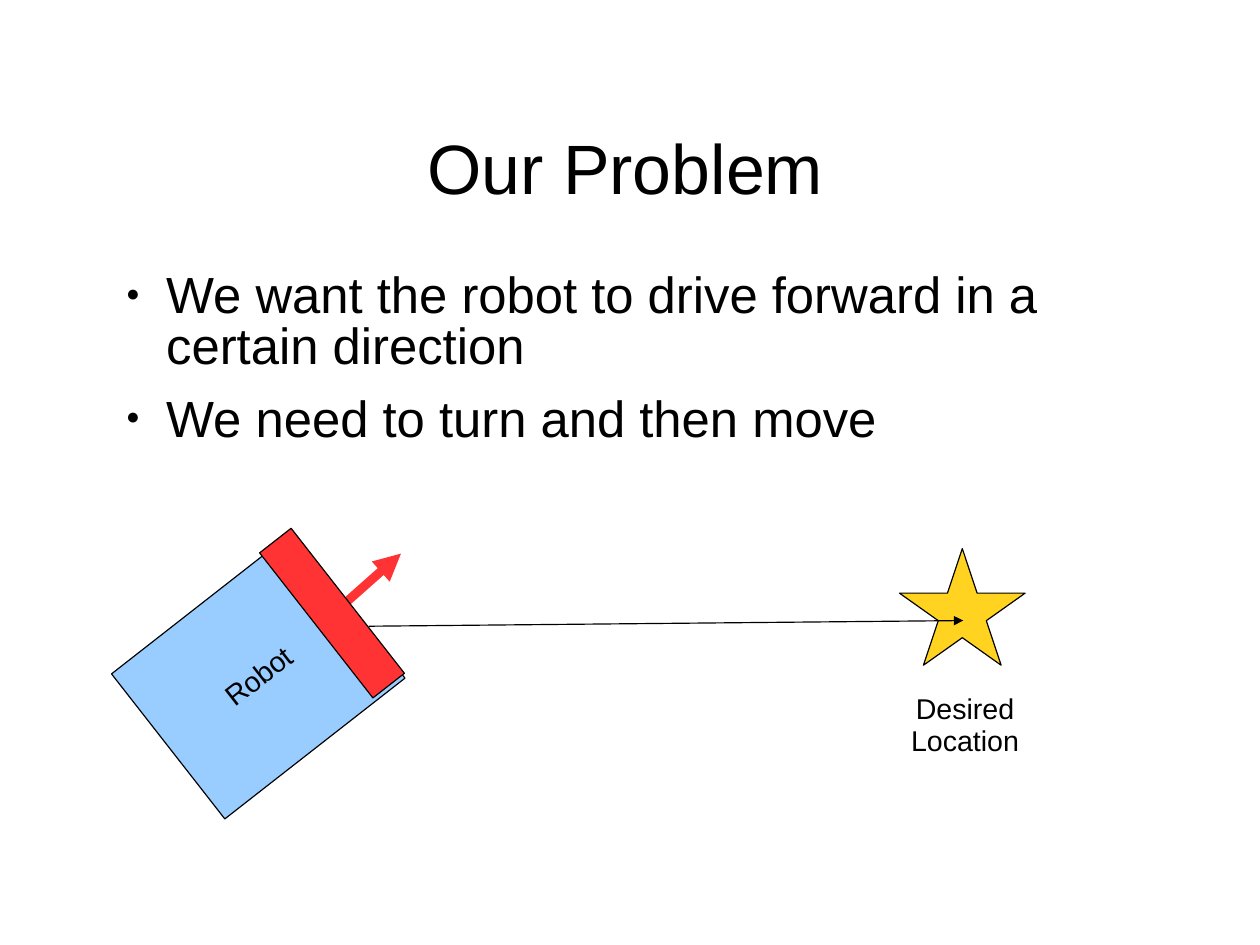
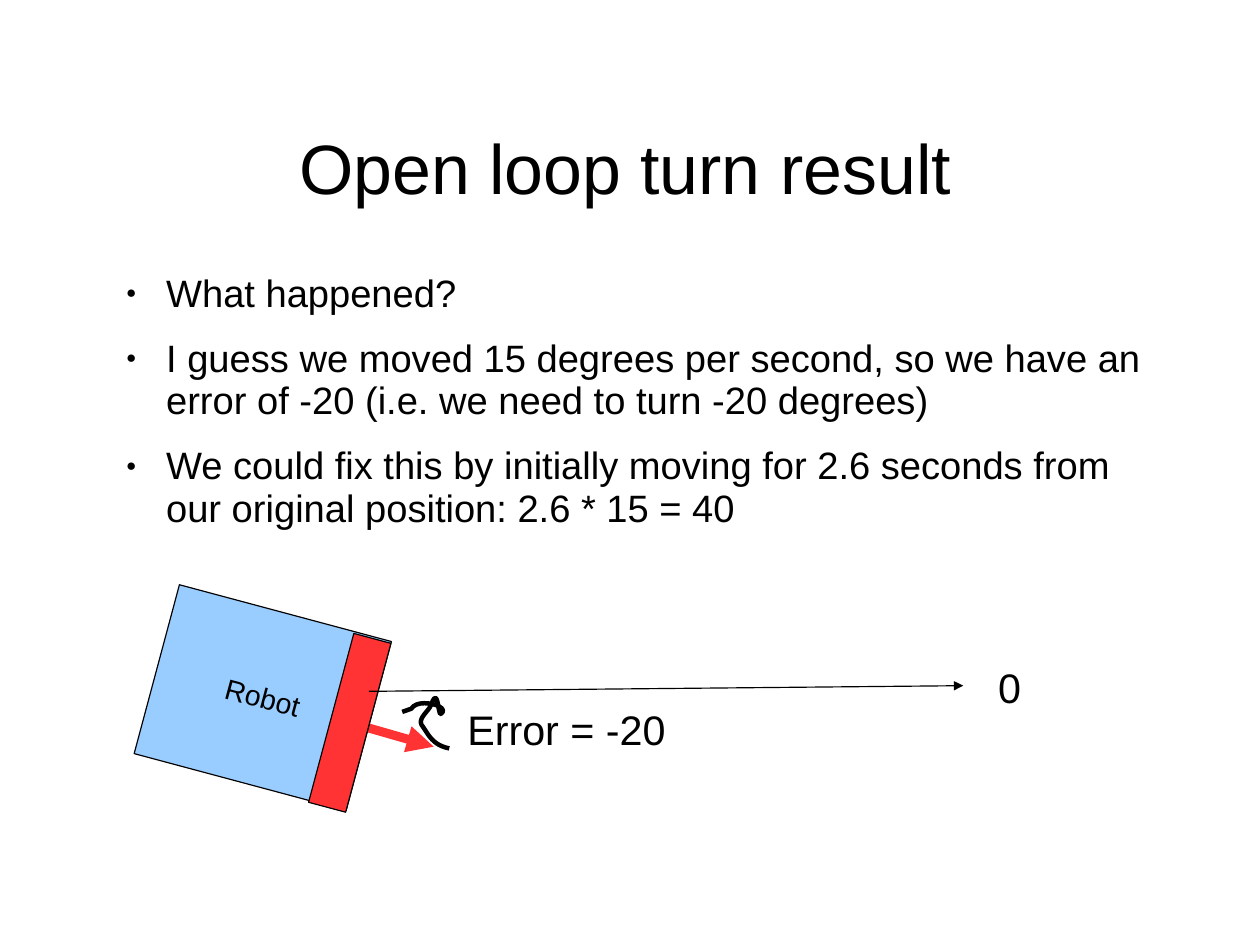
from math import cos, radians, sin

from lxml.etree import SubElement
from pptx import Presentation
from pptx.dml.color import RGBColor
from pptx.enum.shapes import MSO_CONNECTOR as Connector, MSO_SHAPE as Shape
from pptx.enum.text import MSO_ANCHOR as Anchor, MSO_AUTO_SIZE as AutoSize, PP_ALIGN as Align
from pptx.oxml.ns import qn
from pptx.util import Cm, Emu, Inches, Pt

# The slide is a grid of 100 columns by 75 rows of square cells.
SLIDE_WIDTH, SLIDE_HEIGHT = Cm(28), Cm(21)
CELL = SLIDE_WIDTH / 100

COLORS = {"ink": "000000", "body": "99CCFF", "front": "FF3333", "star": "FFD320"}
FONT = "Arial"
LINE_SPACING = 0.93
THIN, BRUSH, THICK = 0.75, 2.83, 5.67

TITLE_BOX = (8.24, 7.12, 82.82, 12.52)
BODY_LEFT, BODY_TOP, BODY_WIDTH = 8.92, 21.42, 82.2
TARGET_LINE = (29.28, 76.45)

# Points of the turn mark as shares of its box: a start, then Bézier triples.
TURN_START = (0.98, 1)
TURN_CURVES = [
    ((0.64, 0.95), (0.55, 0.79), (0.43, 0.66)),
    ((0.29, 0.54), (0.55, 0.43), (0.6, 0.32)),
    ((0.76, 0), (0.74, 0.5), (0.81, 0.46)),
    ((1.02, 0.34), (0.33, 0.2), (0.19, 0.38)),
]
TURN_END = (0, 0.43)


def cells(*lengths):
    return [Emu(round(length * CELL)) for length in lengths]


def color(name):
    return RGBColor.from_string(COLORS[name])


def style_line(line, name, width):
    line.color.rgb = color(name)
    line.width = Pt(width)


def style_text(paragraph, size, align=Align.LEFT, spacing=LINE_SPACING):
    paragraph.alignment = align
    paragraph.line_spacing = spacing
    paragraph.font.name = FONT
    paragraph.font.size = Pt(size)
    paragraph.font.color.rgb = color("ink")


def set_frame(frame, margins, wrap=True, anchor=Anchor.TOP):
    frame.auto_size = AutoSize.NONE
    frame.word_wrap = wrap
    frame.vertical_anchor = anchor
    (frame.margin_left, frame.margin_top,
     frame.margin_right, frame.margin_bottom) = map(Inches, margins)


def place(shape, box):
    shape.left, shape.top, shape.width, shape.height = cells(*box)


def add_bullet(paragraph):
    properties = paragraph._p.get_or_add_pPr()
    properties.set("marL", str(Inches(0.47)))
    properties.set("indent", str(Inches(-0.35)))
    bullet_color = SubElement(properties, qn("a:buClr"))
    SubElement(bullet_color, qn("a:srgbClr"), val=COLORS["ink"])
    SubElement(properties, qn("a:buSzPct"), val="45000")
    SubElement(properties, qn("a:buFont"), typeface=FONT)
    SubElement(properties, qn("a:buChar"), char="●")


def add_content_slide(presentation, title, bullets, size, body_height, spacing=LINE_SPACING):
    slide = presentation.slides.add_slide(presentation.slide_layouts[1])
    heading, body = slide.placeholders
    place(heading, TITLE_BOX)
    set_frame(heading.text_frame, (0, 0.04, 0, 0), anchor=Anchor.MIDDLE)
    heading.text_frame.text = title
    style_text(heading.text_frame.paragraphs[0], 44, Align.CENTER)

    place(body, (BODY_LEFT, BODY_TOP, BODY_WIDTH, body_height))
    set_frame(body.text_frame, (0, 0.03, 0, 0))
    body.text_frame.text = "\n".join(bullets)
    for paragraph in body.text_frame.paragraphs:
        paragraph.line_spacing = spacing
        paragraph.space_before = Pt(0)
        paragraph.space_after = Pt(14.1)
        add_bullet(paragraph)
        style_text(paragraph, size, spacing=spacing)
    return slide


def add_label(slide, text, box, size, align=Align.LEFT):
    label = slide.shapes.add_textbox(*cells(*box))
    set_frame(label.text_frame, (0.1, 0.07, 0.1, 0.05), wrap=False)
    label.text_frame.text = text
    for paragraph in label.text_frame.paragraphs:
        style_text(paragraph, size, align)


def add_arrow(shapes, start, end, name, width):
    arrow = shapes.add_connector(Connector.STRAIGHT, *cells(*start, *end))
    style_line(arrow.line, name, width)
    SubElement(arrow.line._get_or_add_ln(), qn("a:tailEnd"), type="triangle")
    SubElement(arrow._element.spPr, qn("a:effectLst"))


def add_outlined(shapes, kind, box, fill):
    shape = shapes.add_shape(kind, *cells(*box))
    shape.shadow.inherit = False
    shape.fill.solid()
    shape.fill.fore_color.rgb = color(fill)
    style_line(shape.line, "ink", THIN)
    return shape


def add_robot(slide, center, width, height, rotation, overhang, sideways, drift):
    """Draw the robot heading along its rotation.

    Its front is set off sideways, and the arrow tip drifts further to that side.
    """
    shapes = slide.shapes.add_group_shape().shapes
    angle = radians(rotation)
    front_depth = 0.175 * width
    front_edge = width / 2 + overhang

    def ahead(distance, aside=sideways):
        return (center[0] + distance * cos(angle) - aside * sin(angle),
                center[1] + distance * sin(angle) + aside * cos(angle))

    def add_block(middle, depth, fill):
        box = (middle[0] - depth / 2, middle[1] - height / 2, depth, height)
        block = add_outlined(shapes, Shape.RECTANGLE, box, fill)
        block.rotation = rotation
        return block

    tip = ahead(front_edge + 0.31 * width, sideways + drift)
    add_arrow(shapes, ahead(front_edge), tip, "front", THICK)
    body = add_block(center, width, "body")
    set_frame(body.text_frame, (0.1, 0.07, 0.1, 0.05), wrap=False, anchor=Anchor.MIDDLE)
    body.text_frame.text = "Robot"
    style_text(body.text_frame.paragraphs[0], 18, Align.CENTER)
    add_block(ahead(front_edge - front_depth / 2), front_depth, "front")


def add_target_line(slide, row):
    left, right = TARGET_LINE
    add_arrow(slide.shapes, (left, row), (right, row - 0.45), "ink", THIN)


def bezier(points, share):
    """Return the point at a share of the way along a cubic curve."""
    rest = 1 - share
    weights = (rest ** 3, 3 * rest ** 2 * share, 3 * rest * share ** 2, share ** 3)
    return tuple(sum(weight * point[axis] for weight, point in zip(weights, points))
                 for axis in (0, 1))


def add_turn_mark(slide, box, steps=12):
    left, top, width, height = box
    points = [TURN_START]
    for curve in TURN_CURVES:
        corners = (points[-1], *curve)
        points += [bezier(corners, step / steps) for step in range(1, steps + 1)]
    points.append(TURN_END)
    start, *rest = [cells(left + x * width, top + y * height) for x, y in points]
    builder = slide.shapes.build_freeform(*start)
    builder.add_line_segments(rest, close=False)
    mark = builder.convert_to_shape()
    mark.shadow.inherit = False
    mark.fill.background()
    style_line(mark.line, "ink", BRUSH)


def add_problem_slide(presentation):
    slide = add_content_slide(
        presentation, "Our Problem",
        ["We want the robot to drive forward in a certain direction",
         "We need to turn and then move"],
        size=32, body_height=15.34, spacing=0.83)
    add_robot(slide, (20.5, 53.65), 18.15, 14.61, rotation=322,
              overhang=0.2, sideways=-0.33, drift=-0.35)
    add_outlined(slide.shapes, Shape.STAR_5_POINT, (71.39, 43.54, 9.98, 9.26), "star")
    add_target_line(slide, 49.7)
    add_label(slide, "Desired\nLocation", (71.42, 54.47, 10.34, 5.99), 18, Align.CENTER)


def add_result_slide(presentation):
    slide = add_content_slide(
        presentation, "Open loop turn result",
        ["What happened?",
         "I guess we moved 15 degrees per second, so we have an error of -20 "
         "(i.e. we need to turn -20 degrees)",
         "We could fix this by initially moving for 2.6 seconds from our original "
         "position: 2.6 * 15 = 40"],
        size=24, body_height=42.83)
    add_robot(slide, (20.86, 55.37), 17.42, 13.88, rotation=15,
              overhang=0, sideways=0.15, drift=0.1)
    add_target_line(slide, 54.87)
    add_turn_mark(slide, (31.92, 54.32, 3.81, 5.08))
    add_label(slide, "0", (78.33, 52.27, 3.63, 4.54), 26)
    add_label(slide, "Error = -20", (36.2, 55.57, 17.6, 4.54), 26)


def main():
    presentation = Presentation()
    presentation.slide_width, presentation.slide_height = SLIDE_WIDTH, SLIDE_HEIGHT
    add_problem_slide(presentation)
    add_result_slide(presentation)
    presentation.save("out.pptx")


if __name__ == "__main__":
    main()
